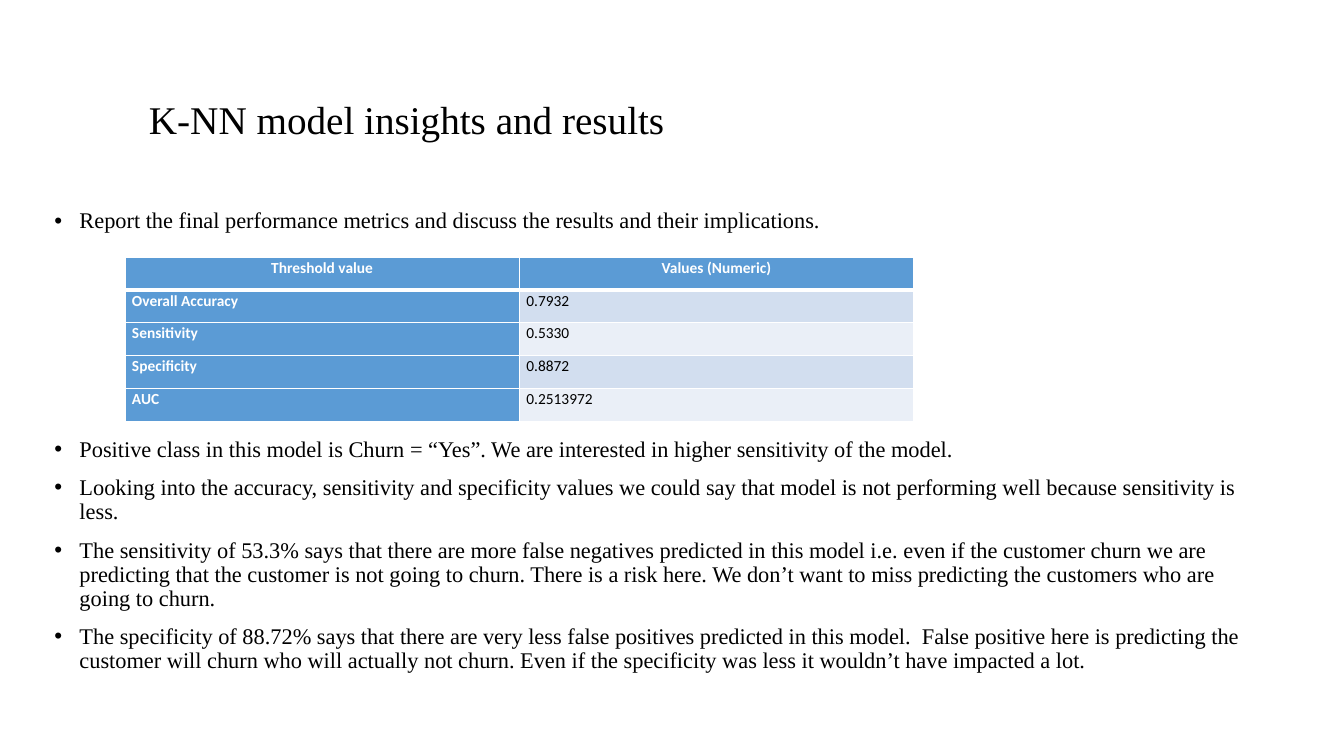
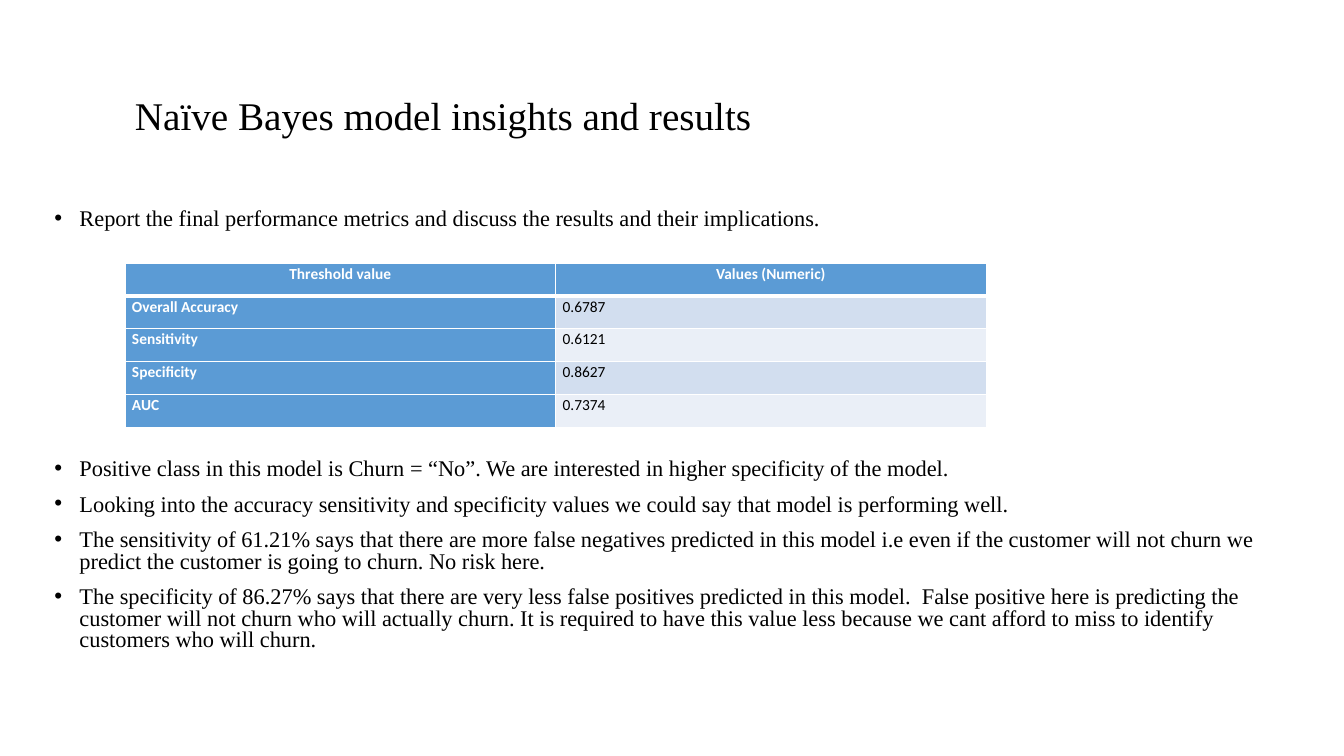
from dataclasses import dataclass

from lxml import etree
from pptx import Presentation
from pptx.dml.color import RGBColor
from pptx.enum.text import MSO_ANCHOR, PP_ALIGN
from pptx.oxml.ns import qn
from pptx.util import Pt

LEFT, CENTER = PP_ALIGN.LEFT, PP_ALIGN.CENTER
MIDDLE, TOP = MSO_ANCHOR.MIDDLE, MSO_ANCHOR.TOP
BLANK_LAYOUT = 6


@dataclass(frozen=True)
class Theme:
    ink: str = "000000"
    white: str = "FFFFFF"
    accent: str = "5B9BD5"
    bands: tuple = ("D2DEEF", "EAEFF7")
    text_font: str = "Times New Roman"
    table_font: str = "Calibri"
    title_size: float = 28
    body_size: float = 16
    table_size: float = 11
    rule: float = 1
    header_rule: float = 3


class Deck:
    def __init__(self, theme):
        self.theme = theme
        self.presentation = Presentation()
        self.presentation.slide_width = Pt(960)
        self.presentation.slide_height = Pt(540)
        self.slide = None

    def new_slide(self):
        layout = self.presentation.slide_layouts[BLANK_LAYOUT]
        self.slide = self.presentation.slides.add_slide(layout)

    def add_run(self, paragraph, text, font, size, color, bold=False):
        run = paragraph.add_run()
        run.text = text
        run.font.name = font
        run.font.size = Pt(size)
        run.font.bold = bold
        run.font.color.rgb = RGBColor.from_string(color)

    def text_frame(self, left, top, width, height, anchor):
        box = self.slide.shapes.add_textbox(Pt(left), Pt(top), Pt(width), Pt(height))
        frame = box.text_frame
        frame.word_wrap = True
        frame.vertical_anchor = anchor
        return frame

    def title(self, text, shift):
        across, down = shift
        frame = self.text_frame(89.3 + across, 50.4 + down, 733.7, 67.7, MIDDLE)
        heading = frame.paragraphs[0]
        heading.line_spacing = 0.9
        self.add_run(heading, text, self.theme.text_font, self.theme.title_size, self.theme.ink)

    def bullets(self, points, line_spacing, table_gap):
        frame = self.text_frame(31.7, 146.2, 879.1, 342, TOP)
        for index, point in enumerate(points):
            paragraph = frame.add_paragraph() if index else frame.paragraphs[0]
            paragraph.line_spacing = line_spacing
            paragraph.space_before = Pt(table_gap if index == 1 else 10)
            properties = paragraph._p.get_or_add_pPr()
            properties.set("marL", str(Pt(18)))
            properties.set("indent", str(Pt(-18)))
            etree.SubElement(properties, qn("a:buFont"), typeface="Arial")
            etree.SubElement(properties, qn("a:buChar"), char="•")
            self.add_run(paragraph, point, self.theme.text_font, self.theme.body_size, self.theme.ink)

    def cell_borders(self, cell, top, bottom):
        properties = cell._tc.get_or_add_tcPr()
        rule = self.theme.rule
        for side, weight in (("L", rule), ("R", rule), ("T", top), ("B", bottom)):
            line = etree.SubElement(properties, qn(f"a:ln{side}"), w=str(Pt(weight)))
            fill = etree.SubElement(line, qn("a:solidFill"))
            etree.SubElement(fill, qn("a:srgbClr"), val=self.theme.white)

    def metrics_table(self, rows, top, column_width, row_height=23.5):
        theme = self.theme
        table = self.slide.shapes.add_table(
            len(rows), 2, Pt(89.3), Pt(top), Pt(2 * column_width), Pt(row_height * len(rows))
        ).table
        for row_index, row in enumerate(rows):
            table.rows[row_index].height = Pt(row_height)
            header = row_index == 0
            for column_index, text in enumerate(row):
                cell = table.cell(row_index, column_index)
                emphasis = header or column_index == 0
                cell.margin_left = cell.margin_right = Pt(5)
                cell.margin_top = cell.margin_bottom = Pt(0)
                self.cell_borders(
                    cell,
                    theme.header_rule if row_index == 1 else theme.rule,
                    theme.header_rule if header else theme.rule,
                )
                cell.fill.solid()
                fill = theme.accent if emphasis else theme.bands[(row_index - 1) % 2]
                cell.fill.fore_color.rgb = RGBColor.from_string(fill)
                paragraph = cell.text_frame.paragraphs[0]
                paragraph.alignment = CENTER if header else LEFT
                paragraph.line_spacing = 1.07
                color = theme.white if emphasis else theme.ink
                self.add_run(paragraph, text, theme.table_font, theme.table_size, color, emphasis)

    def save(self):
        self.presentation.save("out.pptx")


HEADER = ("Threshold value", "Values (Numeric)")
METRICS = ("Overall Accuracy", "Sensitivity", "Specificity", "AUC")
INTRO = "Report the final performance metrics and discuss the results and their implications."

MODELS = [
    {
        "title": "K-NN model insights and results",
        "title_shift": (10, 3),
        "values": ("0.7932", "0.5330", "0.8872", "0.2513972"),
        "table_top": 183.6,
        "column_width": 281.7,
        "line_spacing": 0.9,
        "table_gap": 146,
        "findings": [
            "Positive class in this model is Churn = “Yes”. We are interested in higher "
            "sensitivity of the model.",
            "Looking into the accuracy, sensitivity and specificity values we could say that "
            "model is not performing well because sensitivity is less.",
            "The sensitivity of 53.3% says that there are more false negatives predicted in "
            "this model i.e. even if the customer churn we are predicting that the customer is "
            "not going to churn. There is a risk here. We don’t want to miss predicting the "
            "customers who are going to churn.",
            "The specificity of 88.72% says that there are very less false positives predicted "
            "in this model.  False positive here is predicting the customer will churn who will "
            "actually not churn. Even if the specificity was less it wouldn’t have impacted a lot.",
        ],
    },
    {
        "title": "Naïve Bayes model insights and results",
        "title_shift": (0, 0),
        "values": ("0.6787", "0.6121", "0.8627", "0.7374"),
        "table_top": 187.9,
        "column_width": 307.6,
        "line_spacing": 0.8,
        "table_gap": 163,
        "findings": [
            "Positive class in this model is Churn = “No”. We are interested in higher "
            "specificity of the model.",
            "Looking into the accuracy sensitivity and specificity values we could say that "
            "model is performing well.",
            "The sensitivity of 61.21% says that there are more false negatives predicted in "
            "this model i.e even if the customer will not churn we predict the customer is "
            "going to churn. No risk here.",
            "The specificity of 86.27% says that there are very less false positives predicted "
            "in this model.  False positive here is predicting the customer will not churn who "
            "will actually churn. It is required to have this value less because we cant afford "
            "to miss to identify customers who will churn.",
        ],
    },
]


def main():
    deck = Deck(Theme())
    for model in MODELS:
        deck.new_slide()
        deck.title(model["title"], model["title_shift"])
        deck.bullets([INTRO, *model["findings"]], model["line_spacing"], model["table_gap"])
        rows = [HEADER, *zip(METRICS, model["values"])]
        deck.metrics_table(rows, model["table_top"], model["column_width"])
    deck.save()


if __name__ == "__main__":
    main()
